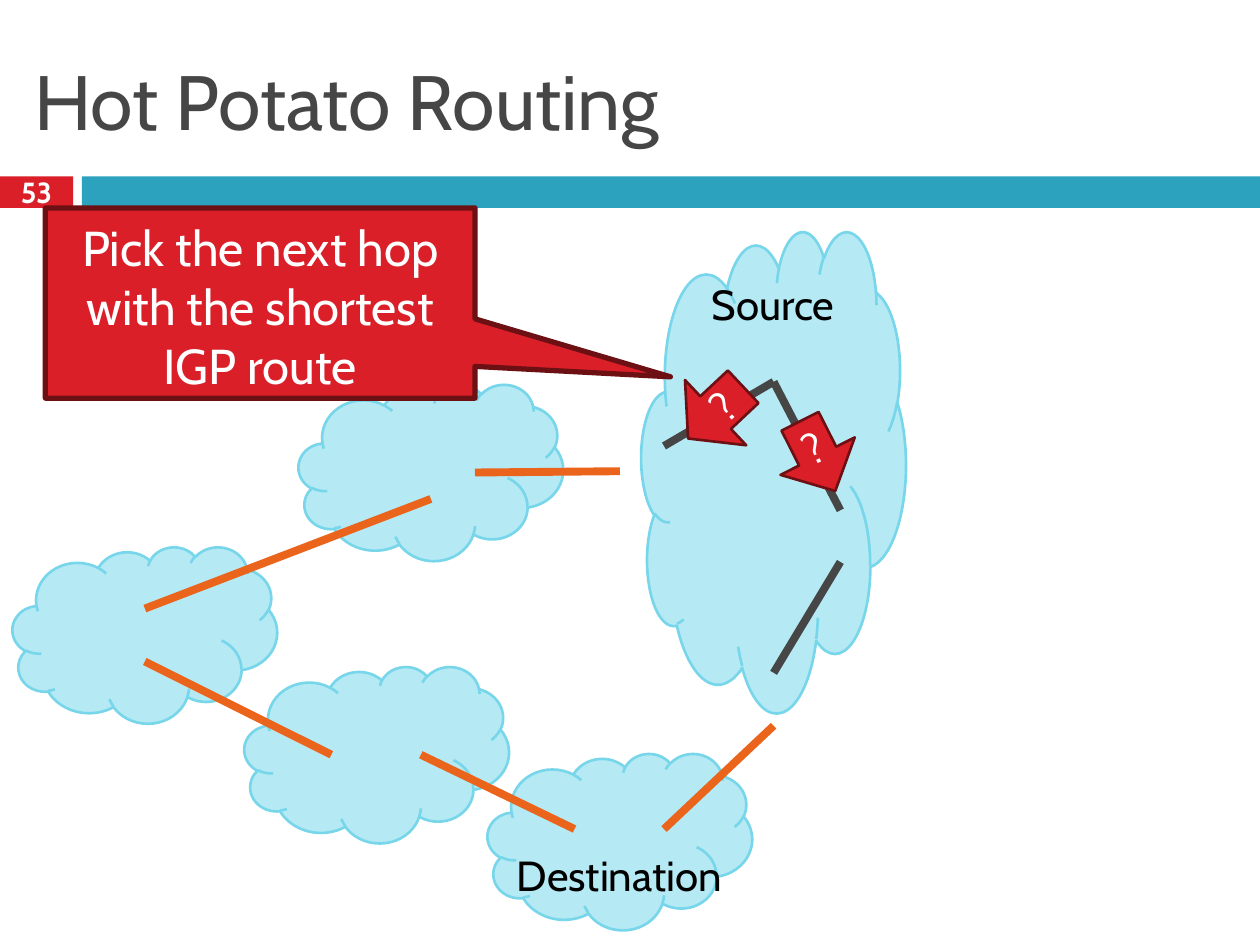
from lxml import etree
from pptx import Presentation
from pptx.dml.color import RGBColor
from pptx.enum.shapes import MSO_CONNECTOR, MSO_SHAPE
from pptx.enum.text import MSO_ANCHOR, MSO_AUTO_SIZE, PP_ALIGN
from pptx.oxml.ns import qn
from pptx.util import Inches, Pt

RECT, CLOUD = MSO_SHAPE.RECTANGLE, MSO_SHAPE.CLOUD
CALLOUT = MSO_SHAPE.RECTANGULAR_CALLOUT
DOWN, LEFT_ARROW = MSO_SHAPE.DOWN_ARROW, MSO_SHAPE.LEFT_ARROW
STRAIGHT = MSO_CONNECTOR.STRAIGHT
TOP, MIDDLE = MSO_ANCHOR.TOP, MSO_ANCHOR.MIDDLE
LEFT, CENTER = PP_ALIGN.LEFT, PP_ALIGN.CENTER

FONT = "Cabin"
WIDTH, HEIGHT = Inches(10), Inches(7.5)
COL, ROW = WIDTH / 100, HEIGHT / 75
RED, DARK_RED, TEAL = "DA1F28", "6D1014", "2DA2BF"
SKY, SKY_EDGE = "B5E9F4", "78D6EA"
ORANGE, GREY, WHITE, BLACK = "EB641B", "464646", "FFFFFF", "000000"
CLOUD_SIZE = (21, 14)


def rgb(value):
    return RGBColor.from_string(value)


def place(box, x, y, w, h):
    return (round((box[0] + x) * COL), round((box[1] + y) * ROW),
            round(w * COL), round(h * ROW))


def write(tf, text, size, color, align=CENTER, anchor=MIDDLE, bold=False):
    tf.vertical_anchor = anchor
    p = tf.paragraphs[0]
    p.alignment = align
    r = p.add_run()
    r.text = text
    r.font.name, r.font.size, r.font.bold = FONT, Pt(size), bold
    r.font.color.rgb = rgb(color)


def set_insets(tf, side=0, top=0):
    tf.margin_left = tf.margin_right = round(side * COL)
    tf.margin_top, tf.margin_bottom = round(top * ROW), 0


def add_shape(s, kind, at, fill, edge=None, width=1.5):
    sp = s.shapes.add_shape(kind, *at)
    sp.shadow.inherit = False
    sp.fill.solid()
    sp.fill.fore_color.rgb = rgb(fill)
    if edge:
        sp.line.color.rgb = rgb(edge)
        sp.line.width = Pt(width)
    else:
        sp.line.fill.background()
    return sp


def add_link(s, box, start, end, color):
    x1, y1, _, _ = place(box, *start, 0, 0)
    x2, y2, _, _ = place(box, *end, 0, 0)
    line = s.shapes.add_connector(STRAIGHT, x1, y1, x2, y2)
    line.line.color.rgb = rgb(color)
    line.line.width = Pt(4.5)
    etree.SubElement(line._element.spPr, qn("a:effectLst"))


def add_label(s, box, at, text):
    tf = s.shapes.add_textbox(*place(box, *at)).text_frame
    tf.word_wrap = False
    tf.auto_size = MSO_AUTO_SIZE.SHAPE_TO_FIT_TEXT
    write(tf, text, 24, BLACK, anchor=TOP)


def add_header(s, box, title, number):
    sp = s.shapes.title
    sp.left, sp.top, sp.width, sp.height = place(box, 1.7, 2.5, 96.7, 10.8)
    write(sp.text_frame, title, 44, GREY, align=LEFT)
    badge = add_shape(s, RECT, place(box, 0, 14, 5.8, 2.5), RED)
    set_insets(badge.text_frame)
    write(badge.text_frame, number, 16.6, WHITE, bold=True)
    add_shape(s, RECT, place(box, 6.5, 14, 93.5, 2.5), TEAL)


def add_network(s, box):
    clouds = [(38.7, 43.3, *CLOUD_SIZE), (23.7, 14, *CLOUD_SIZE),
              (1, 26.9, *CLOUD_SIZE), (50.9, 1.8, 21, 38.2),
              (19.4, 36.4, *CLOUD_SIZE)]
    for cloud in clouds:
        add_shape(s, CLOUD, place(box, *cloud), SKY, SKY_EDGE)

    between_clouds = [((11.5, 31.8), (34.2, 23.1)), ((49.2, 20.9), (37.7, 21)),
                      ((52.7, 49.3), (61.4, 41.1)), ((26.3, 43.4), (11.5, 36)),
                      ((33.4, 43.4), (45.6, 49.3))]
    inside_source = [((61.4, 13.8), (66.7, 24)), ((61.4, 36.9), (66.7, 28.1)),
                     ((61.4, 13.8), (52.7, 18.9))]
    for color, links in ((ORANGE, between_clouds), (GREY, inside_source)):
        for start, end in links:
            add_link(s, box, start, end, color)

    choices = [(DOWN, (61.6, 16.6, 6.6, 6.2), 333.2),
               (LEFT_ARROW, (53.8, 12.7, 6, 7.1), 316.8)]
    for kind, at, angle in choices:
        sp = add_shape(s, kind, place(box, *at), RED, DARK_RED)
        sp.rotation = angle
        set_insets(sp.text_frame)
        write(sp.text_frame, "?", 24, WHITE)

    add_label(s, box, (55, 5.1, 12.7, 5), "Source")
    add_label(s, box, (39.7, 50.4, 18.9, 5), "Destination")


def add_callout(s, box, text):
    sp = add_shape(s, CALLOUT, place(box, 0, 0, *box[2:]), RED, DARK_RED, 3)
    sp.adjustments[0], sp.adjustments[1] = 0.955, 0.388
    set_insets(sp.text_frame, side=1.9, top=0.8)
    write(sp.text_frame, text, 28, WHITE, anchor=TOP)


def main():
    prs = Presentation()
    prs.slide_width, prs.slide_height = WIDTH, HEIGHT
    s = prs.slides.add_slide(prs.slide_layouts[5])
    add_header(s, (0, 0, 100, 16.5), "Hot Potato Routing", "53")
    add_network(s, (0, 16.5, 100, 58.5))
    add_callout(s, (3.6, 16.5, 34.1, 15.1),
                "Pick the next hop with the shortest IGP route")
    prs.save("out.pptx")


if __name__ == "__main__":
    main()
